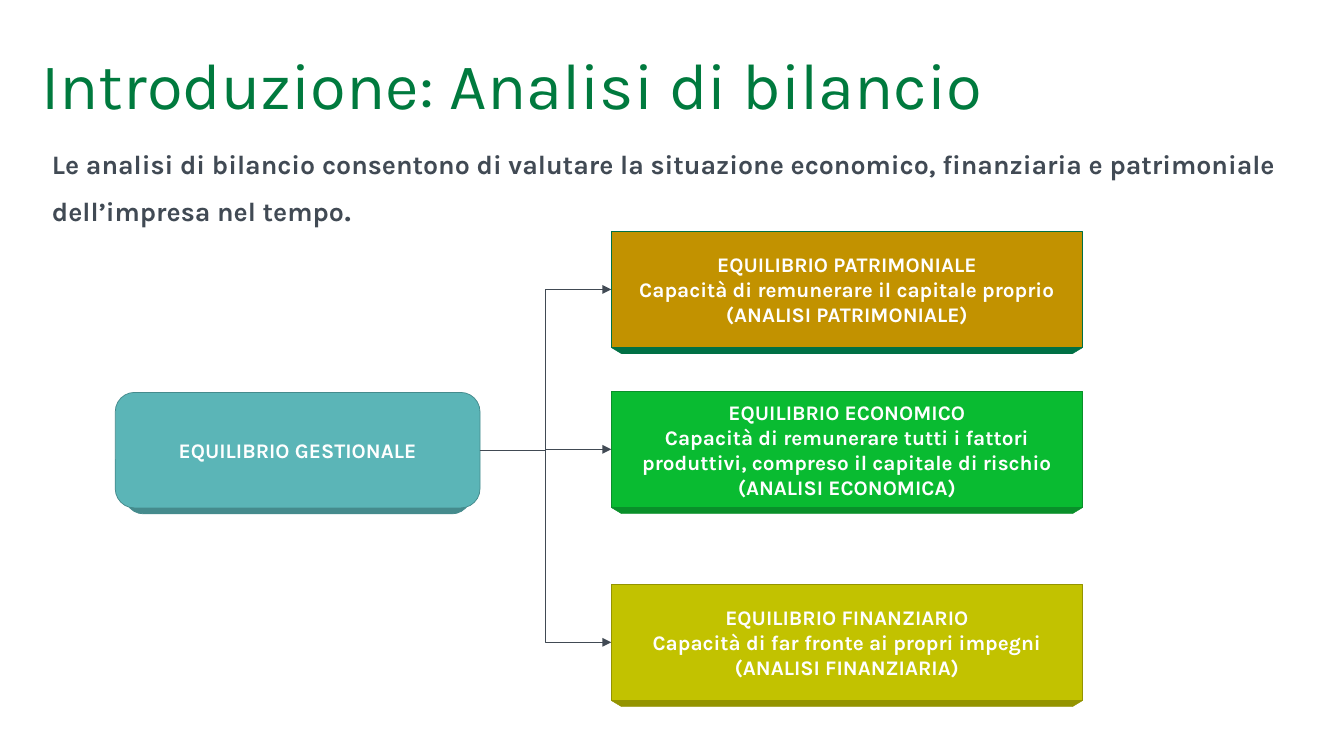
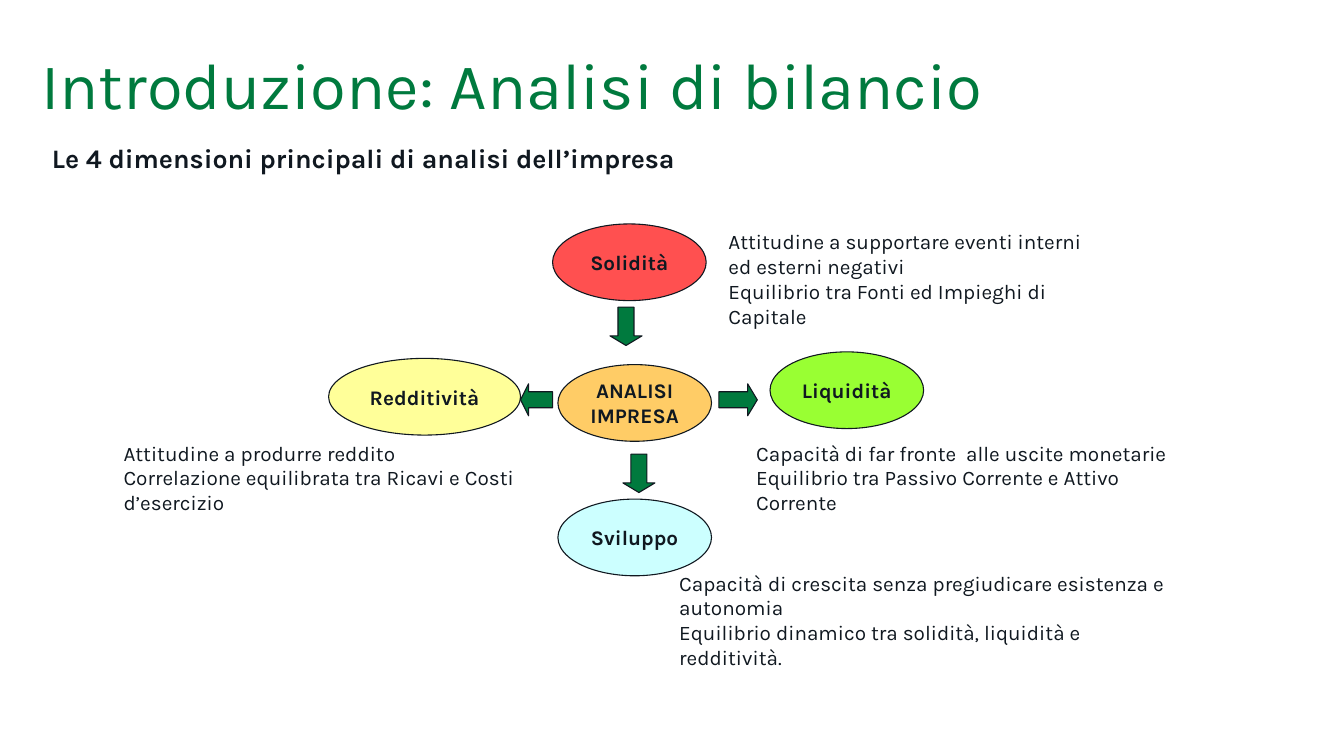
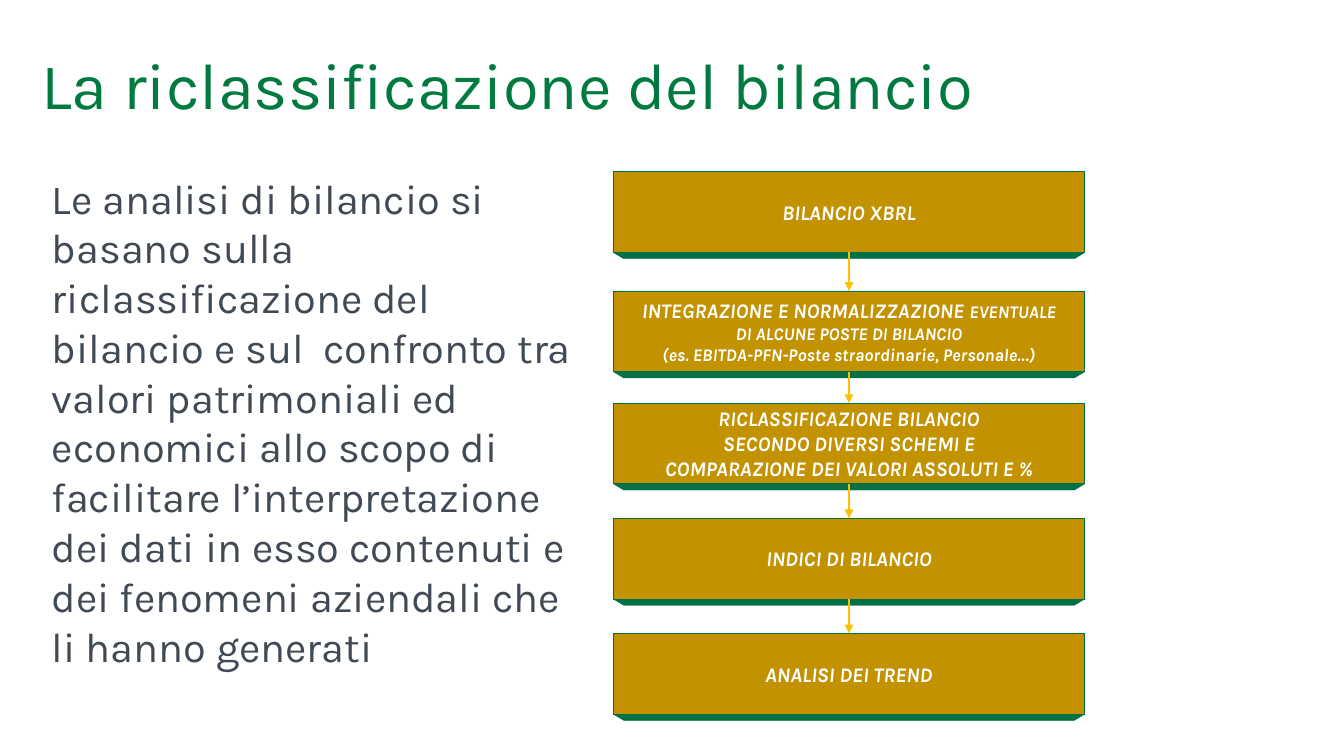
from lxml.etree import SubElement
from pptx import Presentation
from pptx.dml.color import RGBColor
from pptx.enum.shapes import MSO_CONNECTOR as LINK, MSO_SHAPE as SHAPE
from pptx.enum.text import MSO_ANCHOR as ANCHOR, PP_ALIGN as ALIGN
from pptx.oxml.ns import qn
from pptx.util import Pt

FONT = "Karla"
COLORS = {
    "green": "007A3E", "slate": "414A54", "ink": "101820", "white": "FFFFFF",
    "gold": "C29200", "gold_edge": "007045", "amber": "FFC000",
    "lime": "09BB31", "lime_edge": "09902A",
    "olive": "C2C200", "olive_edge": "949400",
    "teal": "5BB5B7", "teal_edge": "458B8D",
    "orange": "FFCC66", "red": "FF5050", "leaf": "99FF33",
    "yellow": "FFFF99", "ice": "CCFFFF",
}
RGB = {name: RGBColor.from_string(value) for name, value in COLORS.items()}


def write(shape, paragraphs, size, color, bold=False, italic=False,
          align=ALIGN.LEFT, anchor=ANCHOR.TOP, margin=None, wrap=True):
    """Each paragraph is a string or a list of (text, size) runs."""
    frame = shape.text_frame
    frame.word_wrap = wrap
    frame.vertical_anchor = anchor
    if margin is not None:
        frame.margin_left = frame.margin_right = Pt(margin)
        frame.margin_top = frame.margin_bottom = Pt(margin)
    for i, content in enumerate(paragraphs):
        paragraph = frame.paragraphs[0] if i == 0 else frame.add_paragraph()
        paragraph.alignment = align
        runs = [(content, size)] if isinstance(content, str) else content
        for text, run_size in runs:
            run = paragraph.add_run()
            run.text = text
            run.font.name = FONT
            run.font.size = Pt(run_size)
            run.font.bold = bold
            run.font.italic = italic
            run.font.color.rgb = RGB[color]
    return frame


def add_block(slide, kind, left, top, width, height, fill, line, weight=0.75):
    block = slide.shapes.add_shape(kind, Pt(left), Pt(top), Pt(width), Pt(height))
    block.shadow.inherit = False
    block.fill.solid()
    block.fill.fore_color.rgb = RGB[fill]
    block.line.color.rgb = RGB[line]
    block.line.width = Pt(weight)
    return block


prs = Presentation()
prs.slide_width, prs.slide_height = Pt(907.2), Pt(510.5)

# Slides and their titles
slides = []
for heading in ["Introduzione: Analisi di bilancio",
                "Introduzione: Analisi di bilancio",
                "La riclassificazione del bilancio"]:
    slide = prs.slides.add_slide(prs.slide_layouts[6])
    title = slide.shapes.add_textbox(Pt(28), Pt(28), Pt(850), Pt(57))
    write(title, [heading], 44, "green", anchor=ANCHOR.MIDDLE, margin=0)
    slides.append(slide)
balance, dimensions, reclassification = slides
connections = []

# Slide 1: introduction
intro = balance.shapes.add_textbox(Pt(28), Pt(96.5), Pt(850), Pt(368))
intro_frame = write(intro, [[
    ("Le analisi di bilancio consentono di valutare la situazione economico, "
     "finanziaria e patrimoniale dell’impresa nel tempo", 18), (".", 28)]],
    18, "slate", bold=True)
intro_frame.paragraphs[0].runs[-1].font.bold = False

# Slide 1: management balance and its three parts
add_block(balance, SHAPE.ROUNDED_RECTANGLE, 84, 269, 234, 78,
          "teal_edge", "teal_edge", 0.5)
management = add_block(balance, SHAPE.ROUNDED_RECTANGLE, 77.8, 265, 246.2, 78,
                       "teal", "teal_edge", 0.5)
write(management, ["EQUILIBRIO GESTIONALE"], 14, "white", bold=True,
      align=ALIGN.CENTER, anchor=ANCHOR.MIDDLE, margin=0)

equilibria = [
    (156.2, "gold", ["EQUILIBRIO PATRIMONIALE",
                     "Capacità di remunerare il capitale proprio",
                     "(ANALISI PATRIMONIALE)"]),
    (264.2, "lime", ["EQUILIBRIO ECONOMICO",
                     "Capacità di remunerare tutti i fattori produttivi, "
                     "compreso il capitale di rischio",
                     "(ANALISI ECONOMICA)"]),
    (394.5, "olive", ["EQUILIBRIO FINANZIARIO",
                      "Capacità di far fronte ai propri impegni",
                      "(ANALISI FINANZIARIA)"]),
]
steps = [
    (116, ["BILANCIO XBRL"]),
    (196.5, [[("INTEGRAZIONE E NORMALIZZAZIONE ", 14), ("EVENTUALE", 12)],
             [("DI ALCUNE POSTE DI BILANCIO", 12)],
             [("(es. EBITDA-PFN-Poste straordinarie, Personale…)", 12)]]),
    (272.2, ["RICLASSIFICAZIONE BILANCIO", "SECONDO DIVERSI SCHEMI E",
             "COMPARAZIONE DEI VALORI ASSOLUTI E %"]),
    (350, ["INDICI DI BILANCIO"]),
    (427.7, ["ANALISI DEI TREND"]),
]

# Slides 1 and 3: raised panels, each with a bevelled lower edge
PANEL_WIDTH, LIP, BEVEL = 318.2, 4.2, 7
panels = [(balance, 412.6, top, 78.5, color, text, False)
          for top, color, text in equilibria]
panels += [(reclassification, 414, top, 54.5, "gold", text, True)
           for top, text in steps]
previous = None
for slide, left, top, height, color, text, italic in panels:
    edge = color + "_edge"
    lip = add_block(slide, SHAPE.TRAPEZOID, left, top + height, PANEL_WIDTH, LIP,
                    edge, edge, 0.25)
    lip.rotation = 180
    lip.adjustments[0] = BEVEL / LIP
    panel = add_block(slide, SHAPE.RECTANGLE, left, top, PANEL_WIDTH, height,
                      color, edge, 0.5)
    write(panel, text, 14, "white", bold=True, italic=italic,
          align=ALIGN.CENTER, anchor=ANCHOR.MIDDLE, margin=0)
    if slide is balance:
        connections.append((slide, LINK.ELBOW, management, 3, panel, 1, "slate"))
    else:
        if previous is not None:
            connections.append((slide, LINK.STRAIGHT, previous, 2, panel, 0, "amber"))
        previous = panel

# Slides 1 and 3: arrows between the panels
for slide, kind, source, source_site, target, target_site, color in connections:
    arrow = slide.shapes.add_connector(kind, 0, 0, 0, 0)
    arrow.begin_connect(source, source_site)
    arrow.end_connect(target, target_site)
    arrow.line.color.rgb = RGB[color]
    arrow.line.width = Pt(0.75)
    SubElement(arrow.line._get_or_add_ln(), qn("a:tailEnd"), type="triangle")
    SubElement(arrow._element.spPr, qn("a:effectLst"))

# Slide 2: subtitle
subtitle = dimensions.shapes.add_textbox(Pt(28), Pt(92.2), Pt(850), Pt(29))
write(subtitle, ["Le 4 dimensioni principali di analisi dell’impresa"],
      18, "ink", bold=True, align=ALIGN.JUSTIFY)

# Slide 2: the company and its four dimensions
for left, top, width, color, label in [
    (376.6, 246.2, 103.7, "orange", ["ANALISI", "IMPRESA"]),
    (373, 151.2, 103.7, "red", ["Solidità"]),
    (519.8, 237.6, 103.7, "leaf", ["Liquidità"]),
    (221.8, 242, 129.6, "yellow", ["Redditività"]),
    (376.6, 337, 103.7, "ice", ["Sviluppo"]),
]:
    oval = add_block(dimensions, SHAPE.OVAL, left, top, width, 51.8, color, "ink")
    write(oval, label, 14, "ink", bold=True, align=ALIGN.CENTER,
          anchor=ANCHOR.MIDDLE, wrap=False)

for kind, left, top, width, height in [
    (SHAPE.DOWN_ARROW, 411.8, 207.4, 21.6, 25.9),
    (SHAPE.RIGHT_ARROW, 485.3, 259.2, 25.9, 21.6),
    (SHAPE.DOWN_ARROW, 420.5, 306.7, 21.6, 25.9),
    (SHAPE.LEFT_ARROW, 351.4, 259.2, 21.6, 21.6),
]:
    pointer = add_block(dimensions, kind, left, top, width, height, "green", "ink")
    pointer.adjustments[1] = 0.25 if kind == SHAPE.LEFT_ARROW else 0.3

# Slide 2: what each dimension means
for left, top, width, height, meaning in [
    (484.6, 151.2, 255.6, 75,
     ["Attitudine a supportare eventi interni ed esterni negativi",
      "Equilibrio tra Fonti ed Impieghi di Capitale"]),
    (503.3, 293.8, 291.6, 75,
     ["Capacità di far fronte  alle uscite monetarie",
      "Equilibrio tra Passivo Corrente e Attivo Corrente"]),
    (76.3, 293.8, 300.2, 58,
     ["Attitudine a produrre reddito",
      "Correlazione equilibrata tra Ricavi e Costi d’esercizio"]),
    (451.4, 381.6, 348.5, 75,
     ["Capacità di crescita senza pregiudicare esistenza e autonomia",
      "Equilibrio dinamico tra solidità, liquidità e redditività."]),
]:
    note = dimensions.shapes.add_textbox(Pt(left), Pt(top), Pt(width), Pt(height))
    write(note, meaning, 14, "ink")

# Slide 3: purpose of the reclassification
purpose = reclassification.shapes.add_textbox(Pt(28), Pt(113), Pt(378.7), Pt(368.6))
write(purpose, [
    "Le analisi di bilancio si basano sulla riclassificazione del bilancio e "
    "sul  confronto tra valori patrimoniali ed economici allo scopo di "
    "facilitare l’interpretazione dei dati in esso contenuti e dei fenomeni "
    "aziendali che li hanno generati"], 28, "slate")

prs.save("out.pptx")
